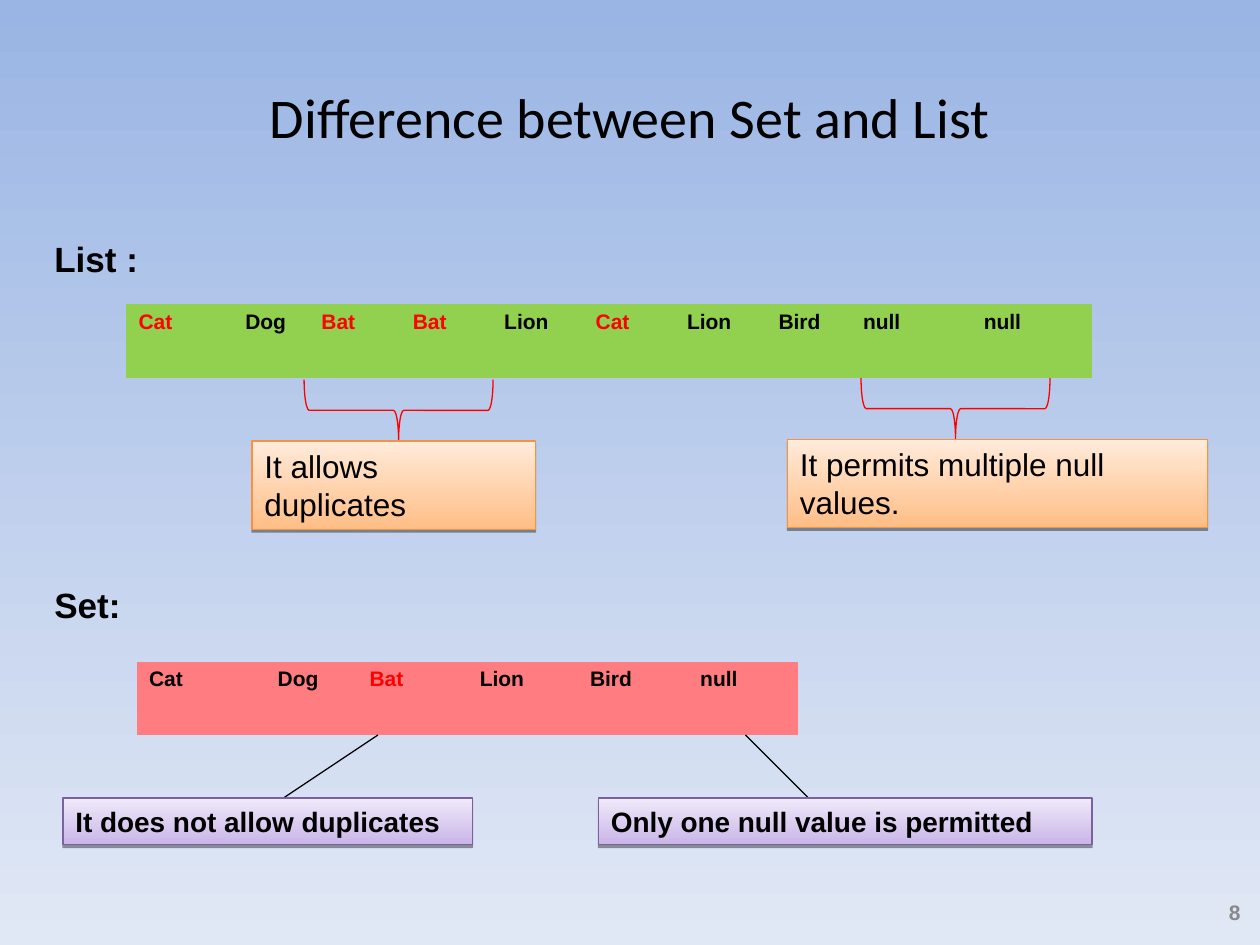
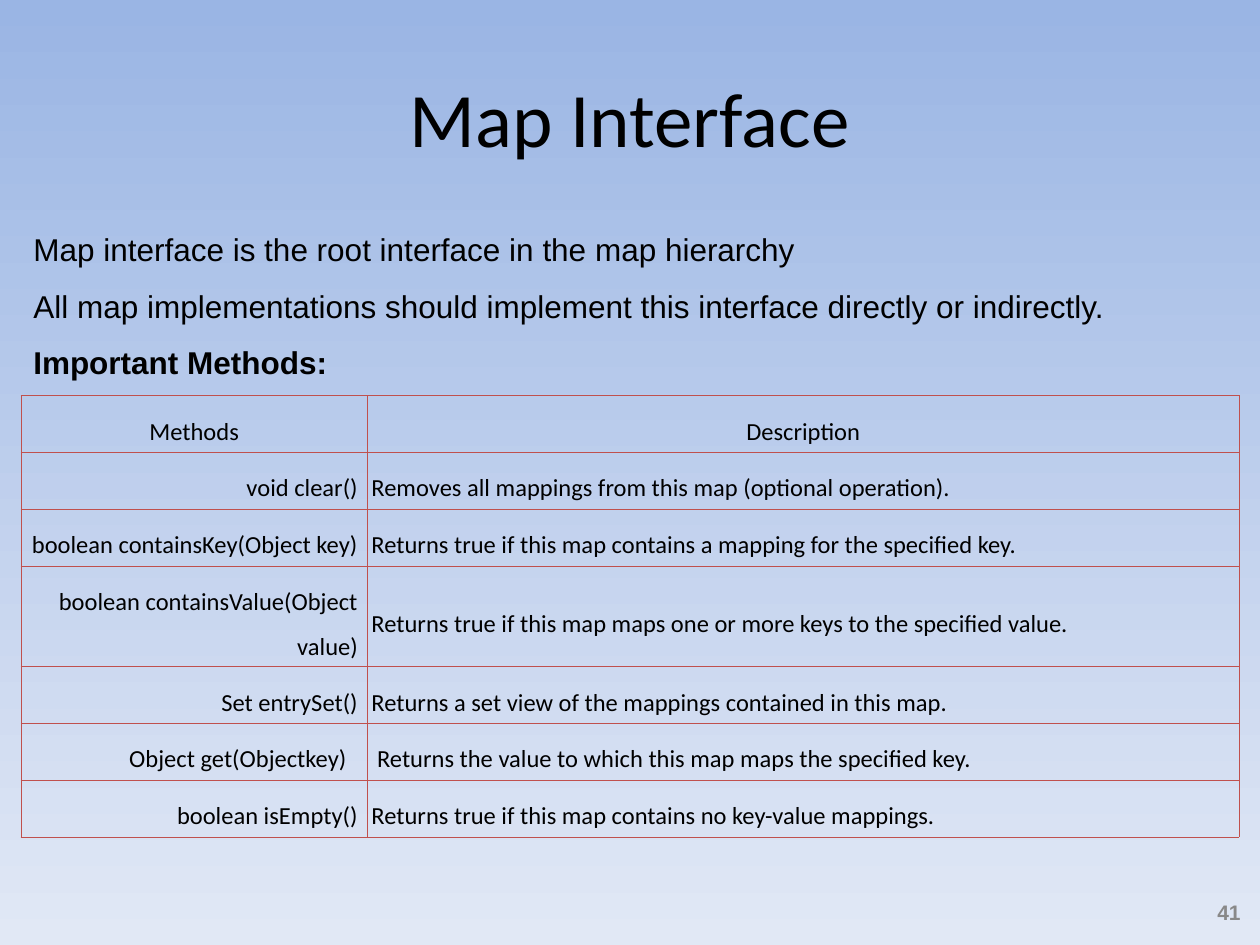
from dataclasses import dataclass

from lxml.etree import SubElement
from pptx import Presentation
from pptx.dml.color import RGBColor
from pptx.enum.shapes import MSO_CONNECTOR as CONN, MSO_SHAPE as SHAPE
from pptx.enum.text import MSO_ANCHOR as ANCHOR, PP_ALIGN as ALIGN
from pptx.oxml.ns import qn
from pptx.util import Pt


@dataclass(frozen=True)
class Theme:
    """Colours, fonts and type sizes shared by the slides."""
    sky: tuple = ("9AB5E4", "E1E8F5")
    orange: tuple = ("FFBE86", "FFEBDB")
    purple: tuple = ("C9B5E8", "F0EAF9")
    orange_line: str = "F69240"
    purple_line: str = "7D60A0"
    green: str = "92D050"
    pink: str = "FF7C80"
    red: str = "FF0000"
    black: str = "000000"
    grey: str = "898989"
    grid: str = "C0504D"
    head_font: str = "Calibri"
    body_font: str = "Arial"
    small: int = 12
    cell: int = 14
    note: int = 16
    body: int = 18
    label: int = 20
    title: int = 44
    long_title: int = 32
    line: float = 0.75


T = Theme()
NO_STYLE = "{2D5ABB26-0587-4C30-8999-92F81FD0307C}"
LIST_ITEMS = ("Cat", "Dog", "Bat", "Bat", "Lion", "Cat", "Lion", "Bird")
SET_ITEMS = ("Cat", "Dog", "Bat", "Lion", "Bird", "null")
METHODS = (
    ("void clear()", "Removes all mappings from this map (optional operation).", 0),
    ("boolean containsKey(Object key)",
     "Returns true if this map contains a mapping for the specified key.", 0),
    ("boolean containsValue(Object value)",
     "Returns true if this map maps one or more keys to the specified value.", 0),
    ("Set entrySet()", "Returns a set view of the mappings contained in this map.", 0),
    ("Object get(Objectkey)",
     "Returns the value to which this map maps the specified key.", 3.2),
    ("boolean isEmpty()", "Returns true if this map contains no key-value mappings.", 0),
)


def rgb(value):
    """Return a colour from its hex value."""
    return RGBColor.from_string(value)


def points(*values):
    """Return the values as lengths in points."""
    return [Pt(v) for v in values]


def set_gradient(fill, colors, angle):
    """Give a fill a two-colour linear gradient."""
    fill.gradient()
    fill.gradient_angle = angle
    for stop, color in zip(fill.gradient_stops, colors):
        stop.color.rgb = rgb(color)


def write(p, text, size, bold=False, color=T.black, font=T.body_font,
          align=ALIGN.LEFT, spacing=None):
    """Add a formatted run to a paragraph."""
    p.alignment = align
    if spacing:
        p.line_spacing = spacing
    r = p.add_run()
    r.text = text
    r.font.name, r.font.size, r.font.bold = font, Pt(size), bold
    r.font.color.rgb = rgb(color)


def add_text(s, box, lines, size, anchor=ANCHOR.TOP, **style):
    """Add a text box with (text, bold) lines."""
    tf = s.shapes.add_textbox(*points(*box)).text_frame
    tf.word_wrap = True
    tf.vertical_anchor = anchor
    for i, (text, bold) in enumerate(lines):
        p = tf.add_paragraph() if i else tf.paragraphs[0]
        write(p, text, size, bold, **style)


def add_slide(prs, title, size, number):
    """Add a slide with its title and page number."""
    s = prs.slides.add_slide(prs.slide_layouts[5])
    sp = s.shapes.title
    sp.left, sp.top, sp.width, sp.height = points(36, 21.6, 648, 90)
    sp.text_frame.vertical_anchor = ANCHOR.MIDDLE
    write(sp.text_frame.paragraphs[0], title, size, font=T.head_font, align=ALIGN.CENTER)
    add_text(s, (681, 508.5, 35, 25), [(number, True)], T.small, ANCHOR.MIDDLE,
             color=T.grey, align=ALIGN.RIGHT)
    return s


def add_callout(s, box, text, colors, line, size, bold=False):
    """Add a gradient box with a short drop shadow."""
    sp = s.shapes.add_shape(SHAPE.RECTANGLE, *points(*box))
    set_gradient(sp.fill, colors, 90)
    sp.line.color.rgb = rgb(line)
    sp.line.width = Pt(T.line)
    sp.shadow.inherit = False
    effects = sp._element.spPr.find(qn("a:effectLst"))
    shadow = SubElement(effects, qn("a:outerShdw"), blurRad="0", dist=str(Pt(1.6)),
                        dir="5400000", rotWithShape="0")
    color = SubElement(shadow, qn("a:srgbClr"), val=T.black)
    SubElement(color, qn("a:alpha"), val="38000")
    tf = sp.text_frame
    tf.word_wrap = True
    tf.vertical_anchor = ANCHOR.TOP
    write(tf.paragraphs[0], text, size, bold)


def add_brace(s, left, top, width, height):
    """Add a red brace that opens upwards and fills the given area."""
    x, y = left + (width - height) / 2, top + (height - width) / 2
    sp = s.shapes.add_shape(SHAPE.RIGHT_BRACE, *points(x, y, height, width))
    sp.rotation = 90
    sp.shadow.inherit = False
    sp.fill.background()
    sp.line.color.rgb = rgb(T.red)
    sp.line.width = Pt(T.line)


def add_pointer(s, *ends):
    """Add a thin black line between two points."""
    c = s.shapes.add_connector(CONN.STRAIGHT, *points(*ends))
    c.line.color.rgb = rgb(T.black)
    c.line.width = Pt(T.line)
    SubElement(c._element.spPr, qn("a:effectLst"))


def add_table(s, left, top, widths, heights):
    """Add a plain table with the given column widths and row heights."""
    size = points(left, top, sum(widths), sum(heights))
    table = s.shapes.add_table(len(heights), len(widths), *size).table
    table.first_row = table.horz_banding = False
    table._tbl.tblPr.find(qn("a:tableStyleId")).text = NO_STYLE
    for col, width in zip(table.columns, widths):
        col.width = Pt(width)
    for row, height in zip(table.rows, heights):
        row.height = Pt(height)
    return table


def add_strip(s, left, top, widths, items, fill, marked=()):
    """Add a one-row table of elements, with the marked ones in red."""
    table = add_table(s, left, top, widths, [42])
    for cell, item in zip(table.iter_cells(), items):
        cell.fill.solid()
        cell.fill.fore_color.rgb = rgb(fill)
        write(cell.text_frame.paragraphs[0], item, T.small, True,
              T.red if item in marked else T.black)


def add_borders(cell):
    """Draw thin lines on all sides of a cell."""
    tc_pr = cell._tc.get_or_add_tcPr()
    for side in "LRTB":
        ln = SubElement(tc_pr, qn(f"a:ln{side}"), w=str(Pt(0.45)))
        SubElement(SubElement(ln, qn("a:solidFill")), qn("a:srgbClr"), val=T.grid)


def add_methods(s, left, top):
    """Add the table of methods and their descriptions."""
    table = add_table(s, left, top, [198, 498], [32.5, 29.5, 29.5, 54.5, 29.5, 29.5, 29.5])
    rows = (("Methods", "Description", 0),) + METHODS
    for i, (method, description, inset) in enumerate(rows):
        cells = table.cell(i, 0), table.cell(i, 1)
        aligns = (ALIGN.RIGHT, ALIGN.LEFT) if i else (ALIGN.CENTER, ALIGN.CENTER)
        for cell, text, align in zip(cells, (method, description), aligns):
            add_borders(cell)
            cell.fill.background()
            write(cell.text_frame.paragraphs[0], text, T.cell, font=T.head_font,
                  align=align, spacing=1.5)
            if i:
                cell.margin_left = cell.margin_right = Pt(2.25)
        if i:
            cells[0].margin_right = Pt(5.5 + 2 * inset)
            cells[1].margin_left = Pt(2.25 + inset)
            cells[1].vertical_anchor = ANCHOR.MIDDLE


def build_difference(prs):
    """Build the slide that compares lists and sets."""
    s = add_slide(prs, "Difference between Set and List", T.long_title, "8")
    for top, text in ((132, "List :"), (330, "Set:")):
        add_text(s, (24, top, 102, 31.5), [(text, True)], T.label)

    add_strip(s, 72, 174, [61, 43.5] + [52.25] * 6, LIST_ITEMS, T.green, ("Cat", "Bat"))
    add_strip(s, 486, 174, [69, 69], ("null", "null"), T.green)
    add_brace(s, 173.75, 217, 108, 35)
    add_brace(s, 492, 216, 108, 35)
    for box, text in (((144, 252, 162, 50.5), "It allows duplicates"),
                      ((450, 251, 240, 50.5), "It permits multiple null values.")):
        add_callout(s, box, text, T.orange, T.orange_line, T.body)

    add_strip(s, 78, 378, [73.5, 52.5] + [63] * 4, SET_ITEMS, T.pink, ("Bat",))
    add_pointer(s, 162, 456, 216, 420)
    add_pointer(s, 462, 456, 426, 420)
    for left, width, text in ((36, 234, "It does not allow duplicates"),
                              (342, 282, "Only one null value is permitted")):
        add_callout(s, (left, 456, width, 26.75), text, T.purple, T.purple_line,
                    T.note, True)


def build_map(prs):
    """Build the slide on the map interface."""
    s = add_slide(prs, "Map Interface", T.title, "41")
    lines = [
        ("Map interface is the root interface in the map hierarchy", False),
        ("All map implementations should implement this interface directly or indirectly.",
         False),
        ("Important Methods:", True),
    ]
    add_text(s, (12, 117, 684, 104.5), lines, T.body, spacing=1.5)
    add_methods(s, 12, 226)


def main():
    """Build and save the presentation."""
    prs = Presentation()
    prs.slide_width, prs.slide_height = points(720, 540)
    set_gradient(prs.slide_master.background.fill, T.sky, 270)
    build_difference(prs)
    build_map(prs)
    prs.save("out.pptx")


if __name__ == "__main__":
    main()
